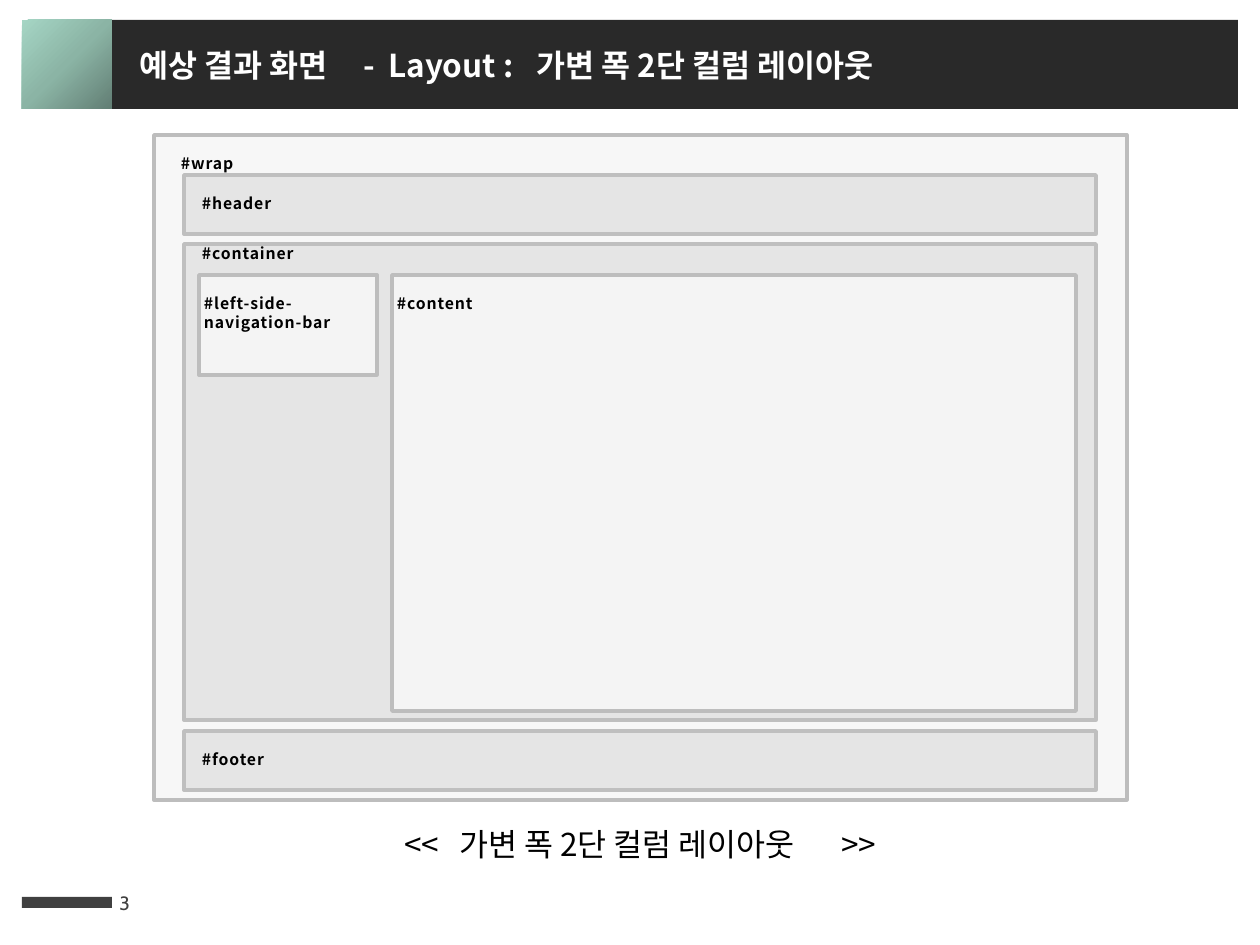
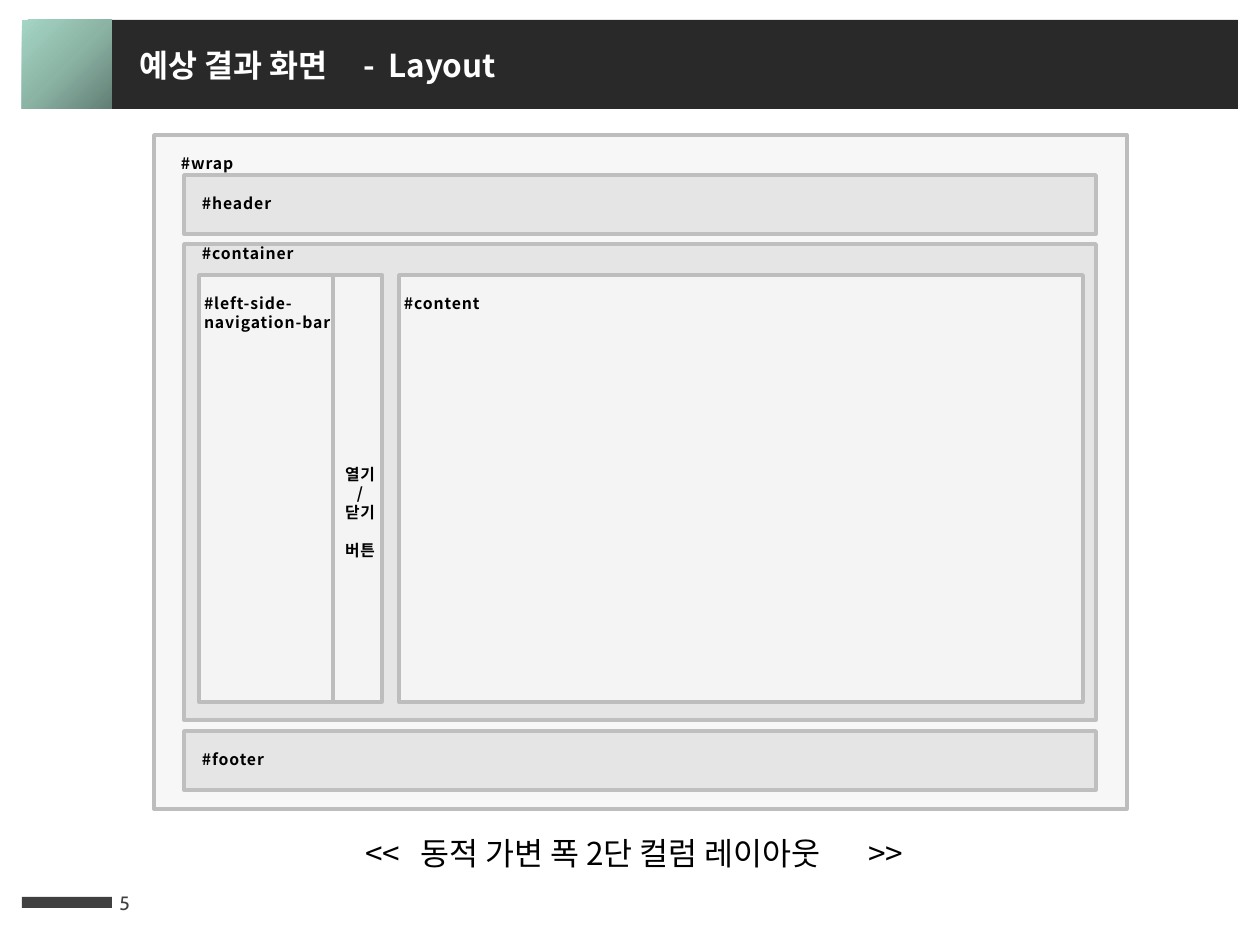
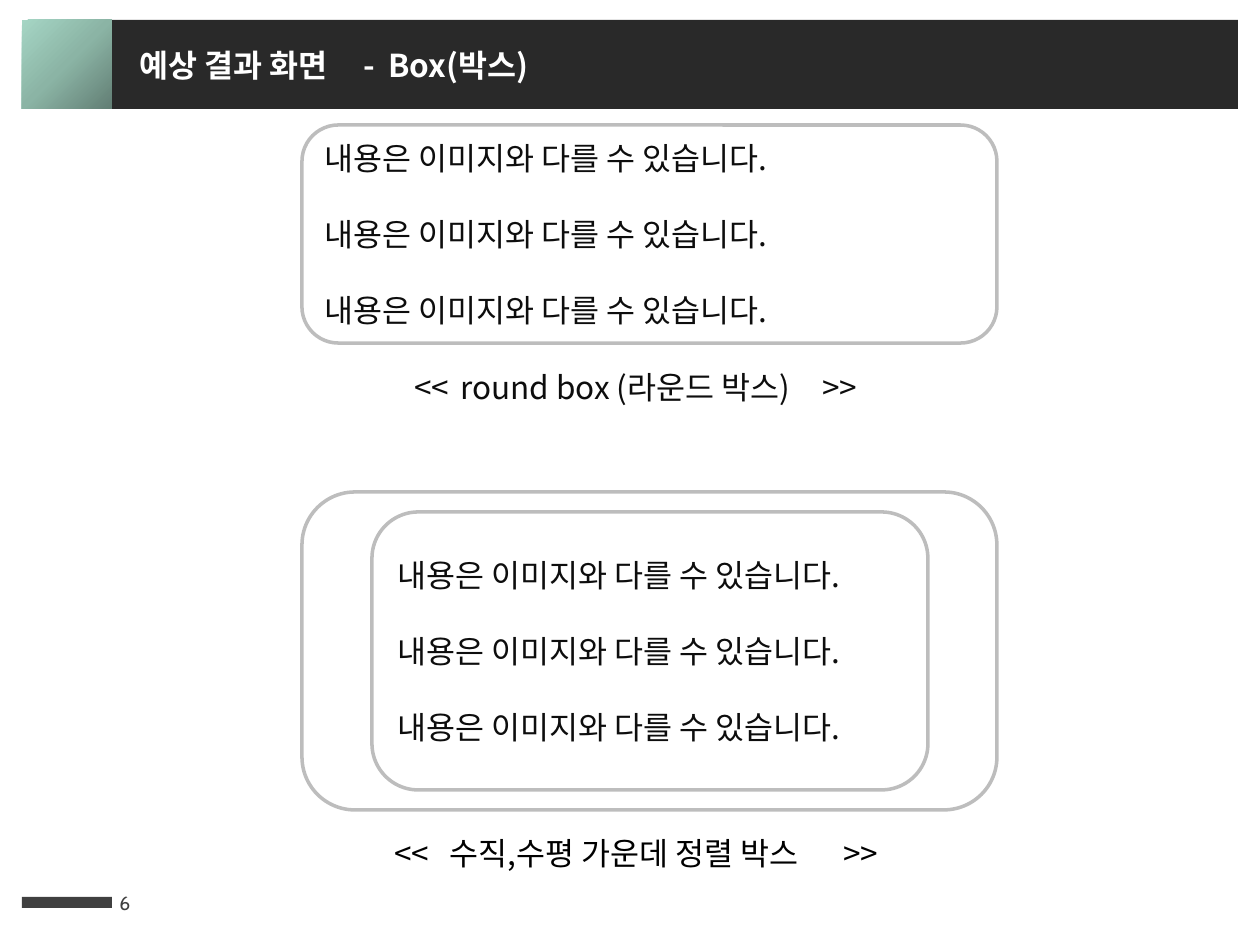
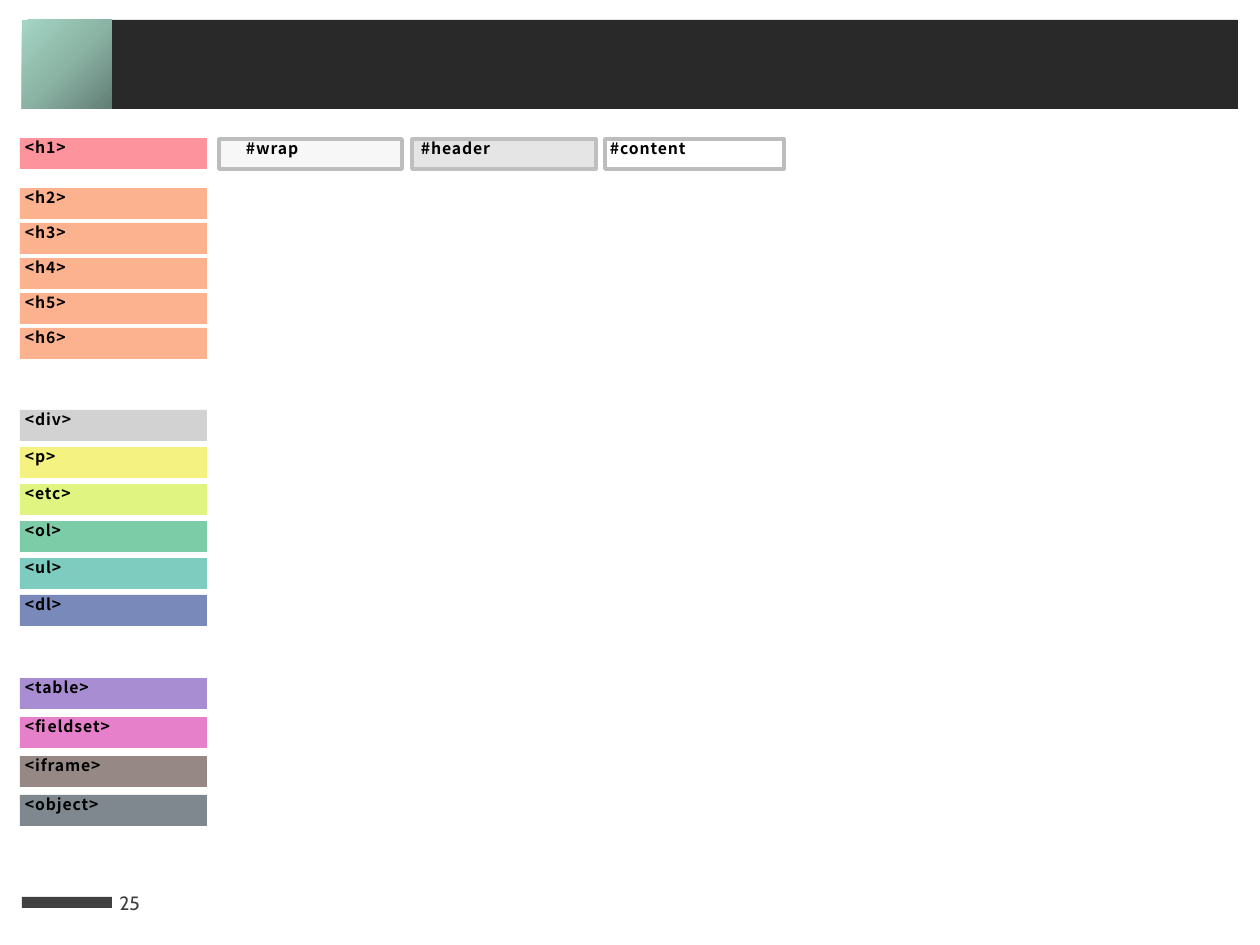
"""Build four slides showing page layouts, box styles and a colour key for HTML tags."""
from lxml.etree import SubElement
from pptx import Presentation
from pptx.dml.color import RGBColor
from pptx.enum.shapes import MSO_SHAPE
from pptx.enum.text import MSO_ANCHOR, MSO_AUTO_SIZE, PP_ALIGN
from pptx.oxml import parse_xml
from pptx.oxml.ns import nsdecls, qn
from pptx.util import Emu, Pt

PX = 914400 / 126
FONT = "Noto Sans CJK KR"
NUMBER_FONT = "Cabin"

WHITE = RGBColor(0xFF, 0xFF, 0xFF)
BLACK = RGBColor(0x00, 0x00, 0x00)
INK = RGBColor(0x0D, 0x0D, 0x0D)
BAND = RGBColor(0x29, 0x29, 0x29)
FOOTER = RGBColor(0x40, 0x40, 0x40)
SAGE = RGBColor(0x8B, 0xB4, 0xA5)
PALE = RGBColor(0xF7, 0xF7, 0xF7)
GREY = RGBColor(0xE5, 0xE5, 0xE5)
BORDER = RGBColor(0xBD, 0xBD, 0xBD)
GREY_BORDER = RGBColor(0xBF, 0xBF, 0xBF)
ROSE = RGBColor(0xFC, 0x4B, 0x5A)
ORANGE = RGBColor(0xFC, 0x80, 0x45)
SILVER = RGBColor(0xB5, 0xB5, 0xB5)
YELLOW = RGBColor(0xEE, 0xEA, 0x2E)
LIME = RGBColor(0xCB, 0xEE, 0x2E)
GREEN = RGBColor(0x27, 0xAA, 0x6E)
TEAL = RGBColor(0x27, 0xAA, 0x95)
NAVY = RGBColor(0x21, 0x3D, 0x8C)
PURPLE = RGBColor(0x6F, 0x42, 0xB6)
MAGENTA = RGBColor(0xD7, 0x2C, 0xA8)
BROWN = RGBColor(0x4F, 0x3A, 0x34)
SLATE = RGBColor(0x29, 0x39, 0x43)

GRADIENT = f"""<a:gradFill {nsdecls("a")} rotWithShape="1"><a:gsLst>
<a:gs pos="0"><a:srgbClr val="627E74"/></a:gs>
<a:gs pos="50000"><a:srgbClr val="8BB4A5"/></a:gs>
<a:gs pos="100000"><a:srgbClr val="A5D5C4"/></a:gs></a:gsLst>
<a:path path="circle"><a:fillToRect l="100000" t="100000"/></a:path></a:gradFill>"""


def add_box(slide, bounds, fill=None, border=None, opacity=100, kind=MSO_SHAPE.RECTANGLE):
    """Add a filled shape, or a plain text box when there is no fill."""
    left, top, width, height = [Emu(round(value * PX)) for value in bounds]
    if fill is None:
        return slide.shapes.add_textbox(left, top, width, height)
    shape = slide.shapes.add_shape(kind, left, top, width, height)
    shape.shadow.inherit = False
    shape.fill.solid()
    shape.fill.fore_color.rgb = fill
    if opacity < 100:
        color = shape.element.spPr.find(qn("a:solidFill"))[0]
        SubElement(color, qn("a:alpha")).set("val", str(opacity * 1000))
    if border is None:
        shape.line.fill.background()
    else:
        shape.line.color.rgb = border
        shape.line.width = Pt(2)
    return shape


def write(shape, text, size=18, color=BLACK, bold=False, font=FONT, tabs=(),
          inset=None, align=PP_ALIGN.LEFT, anchor=MSO_ANCHOR.TOP, gaps=()):
    """Write lines into a shape; an inset marks a compact, letter-spaced label."""
    frame = shape.text_frame
    frame.word_wrap = True
    frame.vertical_anchor = anchor
    frame.text = text
    if inset is not None:
        frame.margin_left, frame.margin_top = [Emu(round(value * PX)) for value in inset]
        frame.margin_right = frame.margin_bottom = 0
    for index, paragraph in enumerate(frame.paragraphs):
        paragraph.alignment = align
        if tabs:
            tab_list = SubElement(paragraph._p.get_or_add_pPr(), qn("a:tabLst"))
            for position in tabs:
                tab = SubElement(tab_list, qn("a:tab"))
                tab.set("pos", str(round(position * PX)))
                tab.set("algn", "l")
        if index in gaps:
            paragraph.space_before = Pt(size * 1.2)
        for run in paragraph.runs:
            run.font.name = font
            run.font.size = Pt(size)
            run.font.bold = bold
            run.font.color.rgb = color
            properties = run.font._element
            SubElement(properties, qn("a:ea")).set("typeface", font)
            if inset is not None:
                properties.set("spc", "50")


presentation = Presentation()
presentation.slide_width = Emu(round(1260 * PX))
presentation.slide_height = Emu(round(945 * PX))

pages = [
    ("3", "예상 결과 화면\t-\tLayout :\t가변 폭 2단 컬럼 레이아웃"),
    ("5", "예상 결과 화면\t-\tLayout"),
    ("6", "예상 결과 화면\t-\tBox(박스)"),
    ("25", None),
]
slides = []
for number, title in pages:
    slide = presentation.slides.add_slide(presentation.slide_layouts[6])
    slides.append(slide)
    add_box(slide, (112, 20, 1126, 89), BAND)
    corner = add_box(slide, (22, 20, 90, 89), SAGE)
    solid = corner.element.spPr.find(qn("a:solidFill"))
    corner.element.spPr.replace(solid, parse_xml(GRADIENT))
    add_box(slide, (22, 897, 90, 11), FOOTER)
    page_number = add_box(slide, (107, 878, 74, 50))
    write(page_number, number, 11, FOOTER, font=NUMBER_FONT, anchor=MSO_ANCHOR.MIDDLE)
    if title:
        title_box = add_box(slide, (127, 40, 880, 50))
        write(title_box, title, 18, WHITE, bold=True, tabs=(224, 249, 397))
        title_box.text_frame.auto_size = MSO_AUTO_SIZE.SHAPE_TO_FIT_TEXT

fixed_slide, dynamic_slide, round_slide, key_slide = slides

layouts = [
    (fixed_slide, 665, (392, 275, 684, 436), (199, 275, 178, 100)),
    (dynamic_slide, 674, (399, 275, 684, 427), (199, 275, 134, 427)),
]
for slide, wrap_height, content, navigation in layouts:
    regions = [
        ("#wrap", (154, 135, 973, wrap_height), PALE, BORDER, 100, (27, 19)),
        ("#container", (184, 244, 912, 476), GREY, GREY_BORDER, 100, (18, 0)),
        ("#content", content, WHITE, BORDER, 60, (5, 19)),
        ("#left-side-\nnavigation-bar", navigation, WHITE, BORDER, 60, (5, 19)),
        ("#header", (184, 175, 912, 59), GREY, GREY_BORDER, 100, (18, 19)),
        ("#footer", (184, 731, 912, 59), GREY, GREY_BORDER, 100, (18, 19)),
    ]
    for label, bounds, fill, border, opacity, inset in regions:
        region = add_box(slide, bounds, fill, border, opacity)
        write(region, label, 9, bold=True, inset=inset)

toggle = add_box(dynamic_slide, (333, 275, 49, 427), WHITE, BORDER, 60)
write(toggle, "열기\n/\n닫기\n버튼", 9, bold=True, inset=(5, 190), align=PP_ALIGN.CENTER, gaps=(3,))

sample = "\n".join(["내용은 이미지와 다를 수 있습니다."] * 3)
round_boxes = [
    ((302, 125, 695, 218), sample),
    ((302, 492, 695, 318), None),
    ((372, 512, 556, 278), sample),
]
for bounds, text in round_boxes:
    round_box = add_box(round_slide, bounds, WHITE, BORDER, kind=MSO_SHAPE.ROUNDED_RECTANGLE)
    if text:
        write(round_box, text, 18, INK, anchor=MSO_ANCHOR.MIDDLE, gaps=(1, 2))

captions = [
    (fixed_slide, (392, 819, 595, 50), "<<\t가변 폭 2단 컬럼 레이아웃\t>>", (55, 437), BLACK),
    (dynamic_slide, (353, 828, 595, 50), "<<\t동적 가변 폭 2단 컬럼 레이아웃\t>>", (55, 503), BLACK),
    (round_slide, (382, 828, 546, 50), "<<\t수직,수평 가운데 정렬 박스\t>>", (55, 449), BLACK),
    (round_slide, (402, 362, 496, 50), "<<\tround box (라운드 박스)\t>>", (46, 408), INK),
]
for slide, bounds, text, tabs, color in captions:
    caption = add_box(slide, bounds)
    write(caption, text, 18, color, tabs=tabs)
    caption.text_frame.auto_size = MSO_AUTO_SIZE.SHAPE_TO_FIT_TEXT

tag_groups = [
    (138, 0, [("<h1>", ROSE)]),
    (188, 35, [(f"<h{level}>", ORANGE) for level in range(2, 7)]),
    (410, 37, [("<div>", SILVER), ("<p>", YELLOW), ("<etc>", LIME),
               ("<ol>", GREEN), ("<ul>", TEAL), ("<dl>", NAVY)]),
    (678, 39, [("<table>", PURPLE), ("<fieldset>", MAGENTA),
               ("<iframe>", BROWN), ("<object>", SLATE)]),
]
for top, pitch, tags in tag_groups:
    for index, (tag, color) in enumerate(tags):
        tag_box = add_box(key_slide, (20, top + index * pitch, 187, 31), color, opacity=60)
        write(tag_box, tag, 9, bold=True, inset=(5, 0))

key_regions = [
    ("#wrap", 219, 183, PALE, BORDER, 100, 27),
    ("#header", 412, 184, GREY, GREY_BORDER, 100, 9),
    ("#content", 605, 179, WHITE, BORDER, 60, 5),
]
for label, left, width, fill, border, opacity, indent in key_regions:
    key_box = add_box(key_slide, (left, 139, width, 30), fill, border, opacity)
    write(key_box, label, 9, bold=True, inset=(indent, 0))

presentation.save("out.pptx")
